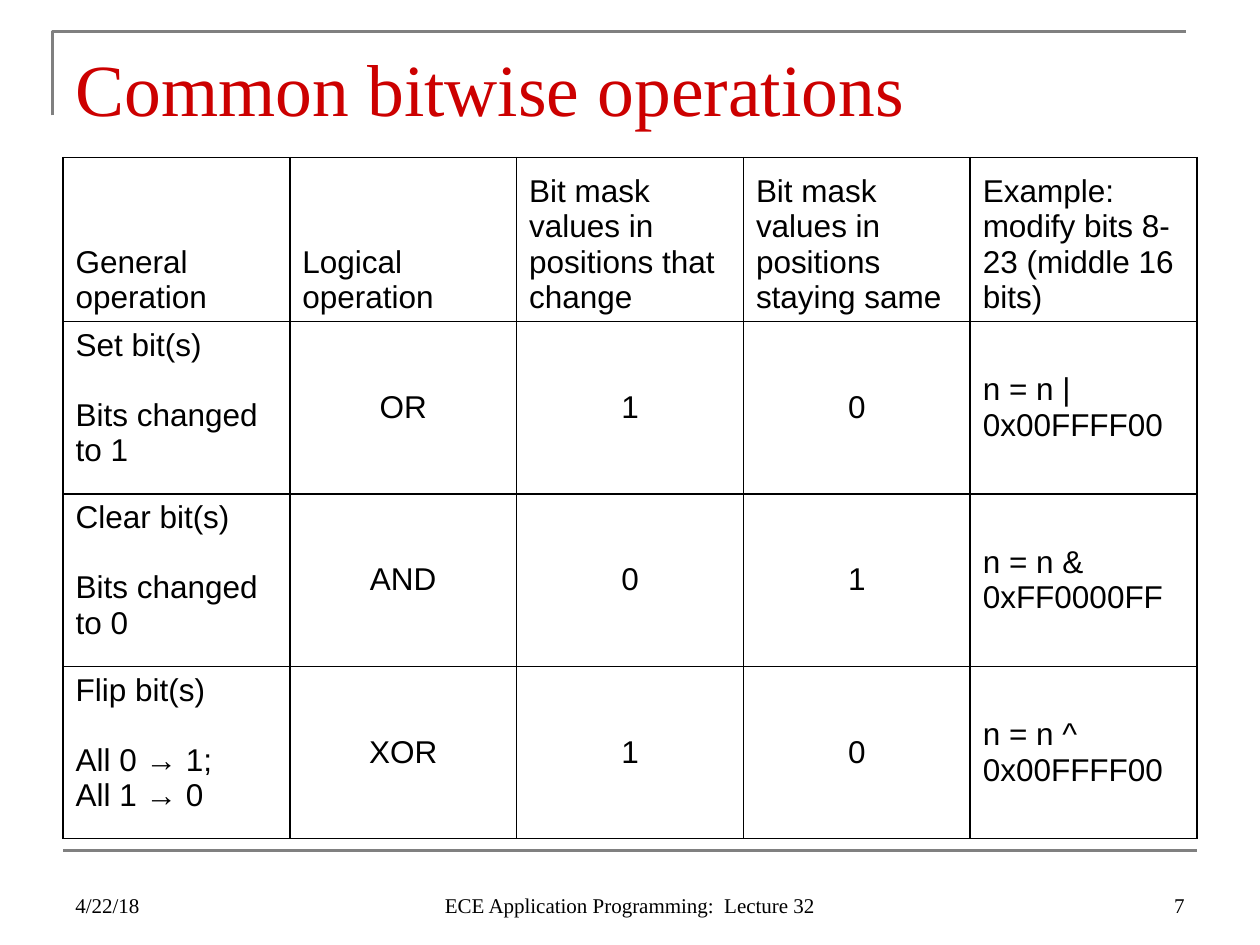
import dataclasses

import lxml.etree
import pptx
import pptx.dml.color
import pptx.enum.shapes
import pptx.enum.text
import pptx.oxml.ns
import pptx.util

ALIGN = pptx.enum.text.PP_ALIGN
ANCHOR = pptx.enum.text.MSO_ANCHOR


@dataclasses.dataclass(frozen=True)
class Theme:
    title: str = "CC0000"
    ink: str = "000000"
    rule: str = "808080"
    paper: str = "FFFFFF"
    serif: str = "Times New Roman"
    sans: str = "Arial"
    head: int = 42
    body: int = 18
    foot: int = 12
    gap: int = 20
    edge: float = 1
    line: float = 1.5


def color(code):
    return pptx.dml.color.RGBColor.from_string(code)


def unit(count):
    return pptx.util.Inches(count / 12)


def write(frame, text, font, size, ink, align=ALIGN.LEFT, anchor=ANCHOR.TOP, gap=0):
    frame.word_wrap = True
    frame.vertical_anchor = anchor
    for row, line in enumerate(text.split("\n")):
        para = frame.add_paragraph() if row else frame.paragraphs[0]
        para.alignment = align
        para.space_before = pptx.util.Pt(gap if row == 1 else 0)
        run = para.add_run()
        run.text = line
        run.font.name = font
        run.font.size = pptx.util.Pt(size)
        run.font.color.rgb = color(ink)


class Deck:
    def __init__(self, theme):
        self.theme = theme
        self.file = pptx.Presentation()
        self.file.slide_width = unit(120)
        self.file.slide_height = unit(90)
        self.slide = self.file.slides.add_slide(self.file.slide_layouts[5])
        self.shapes = self.slide.shapes
        fill = self.slide.background.fill
        fill.solid()
        fill.fore_color.rgb = color(theme.paper)

    def stroke(self, shape):
        shape.line.color.rgb = color(self.theme.rule)
        shape.line.width = pptx.util.Pt(self.theme.line)

    def frame(self, start, *points):
        pen = self.shapes.build_freeform(*start, scale=unit(1))
        pen.add_line_segments(points, close=False)
        shape = pen.convert_to_shape()
        shape.fill.background()
        shape.shadow.inherit = False
        self.stroke(shape)

    def rule(self, left, right, row):
        kind = pptx.enum.shapes.MSO_CONNECTOR.STRAIGHT
        line = self.shapes.add_connector(kind, unit(left), unit(row), unit(right), unit(row))
        self.stroke(line)
        lxml.etree.SubElement(line._element.spPr, pptx.oxml.ns.qn("a:effectLst"))

    def title(self, text, left, top, width, height):
        box = self.shapes.title
        box.left, box.top = unit(left), unit(top)
        box.width, box.height = unit(width), unit(height)
        box.text_frame.auto_size = pptx.enum.text.MSO_AUTO_SIZE.NONE
        look = self.theme
        write(box.text_frame, text, font=look.serif, size=look.head,
              ink=look.title, anchor=ANCHOR.MIDDLE)

    def foot(self, text, left, width, align):
        box = self.shapes.add_textbox(unit(left), unit(82), unit(width), unit(6))
        look = self.theme
        write(box.text_frame, text, font=look.serif, size=look.foot,
              ink=look.ink, align=align, anchor=ANCHOR.BOTTOM)

    def border(self, cell):
        props = cell._tc.get_or_add_tcPr()
        tag = pptx.oxml.ns.qn
        for side in ("a:lnL", "a:lnR", "a:lnT", "a:lnB"):
            width = str(pptx.util.Pt(self.theme.edge))
            line = lxml.etree.SubElement(props, tag(side), w=width)
            fill = lxml.etree.SubElement(line, tag("a:solidFill"))
            lxml.etree.SubElement(fill, tag("a:srgbClr"), val=self.theme.ink)

    def cell(self, cell, text, align, anchor):
        look = self.theme
        self.border(cell)
        cell.fill.solid()
        cell.fill.fore_color.rgb = color(look.paper)
        write(cell.text_frame, text, font=look.sans, size=look.body,
              ink=look.ink, align=align, anchor=anchor, gap=look.gap)
        cell.vertical_anchor = anchor

    def table(self, data, left, top, width, rows):
        cols = len(data[0])
        grid = self.shapes.add_table(len(data), cols, unit(left), unit(top),
                                     unit(width), unit(sum(rows))).table
        grid.first_row = grid.horz_banding = False
        for col in grid.columns:
            col.width = unit(width / cols)
        for row, high in enumerate(rows):
            grid.rows[row].height = unit(high)
            for col, text in enumerate(data[row]):
                mid = row and 0 < col < cols - 1
                align = ALIGN.CENTER if mid else ALIGN.LEFT
                side = ANCHOR.MIDDLE if col else ANCHOR.TOP
                anchor = side if row else ANCHOR.BOTTOM
                self.cell(grid.cell(row, col), text, align, anchor)


DATA = [
    ["General operation", "Logical operation",
     "Bit mask values in positions that change",
     "Bit mask values in positions staying same",
     "Example: modify bits 8-23 (middle 16 bits)"],
    ["Set bit(s)\nBits changed to 1", "OR", "1", "0", "n = n | 0x00FFFF00"],
    ["Clear bit(s)\nBits changed to 0", "AND", "0", "1", "n = n & 0xFF0000FF"],
    ["Flip bit(s)\nAll 0 → 1;\nAll 1 → 0", "XOR", "1", "0", "n = n ^ 0x00FFFF00"],
]


def main():
    deck = Deck(Theme())
    deck.frame((5, 11), (5, 3), (113, 3))
    deck.rule(6, 114, 81)
    deck.title("Common bitwise operations", 6, 3.6, 108, 9.4)
    deck.table(DATA, 6, 15, 108, [15.6] + [16.43] * 3)
    deck.foot("4/22/18", 6, 28, ALIGN.LEFT)
    deck.foot("ECE Application Programming:  Lecture 32", 41, 38, ALIGN.CENTER)
    deck.foot("7", 86, 28, ALIGN.RIGHT)
    deck.file.save("out.pptx")


if __name__ == "__main__":
    main()
